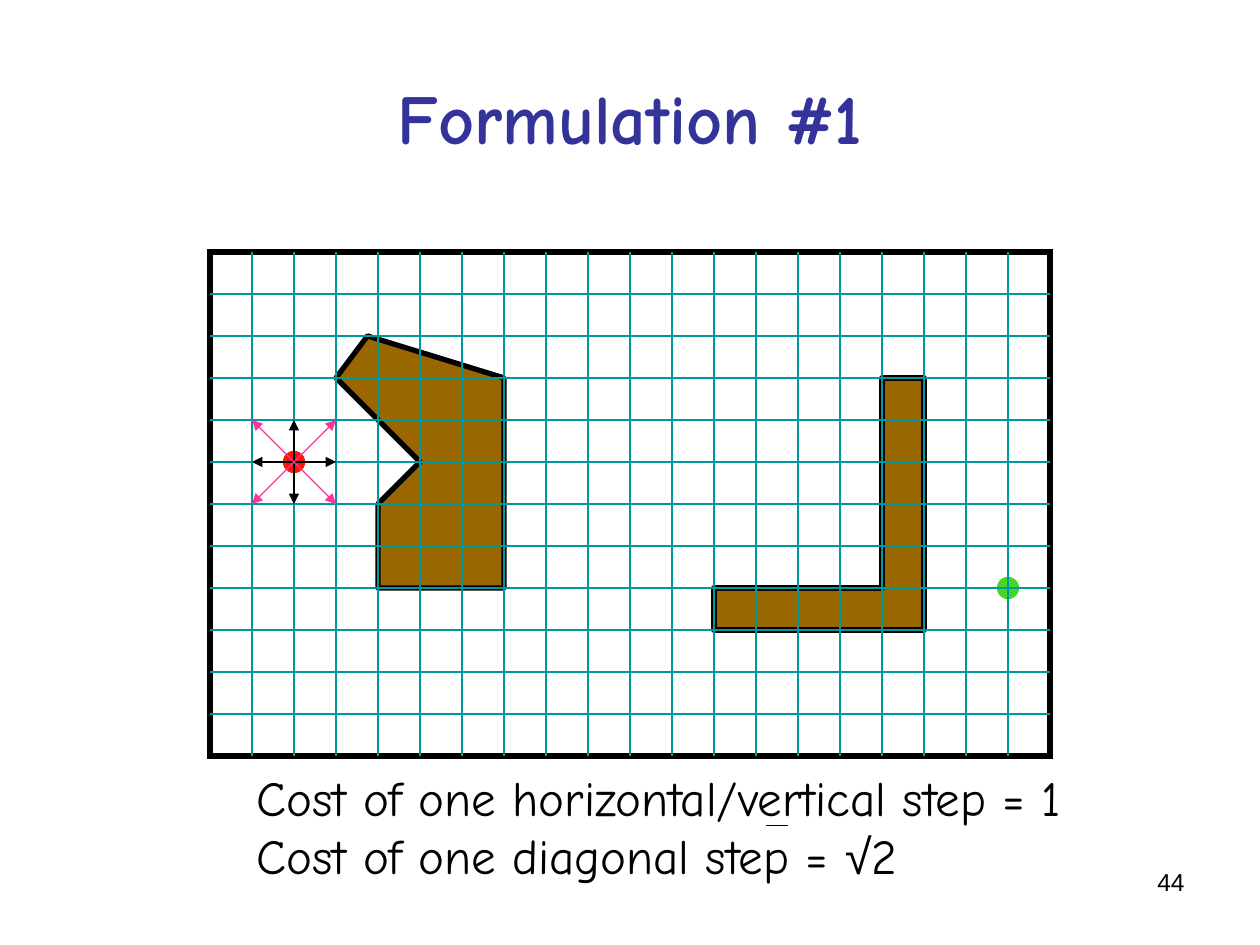
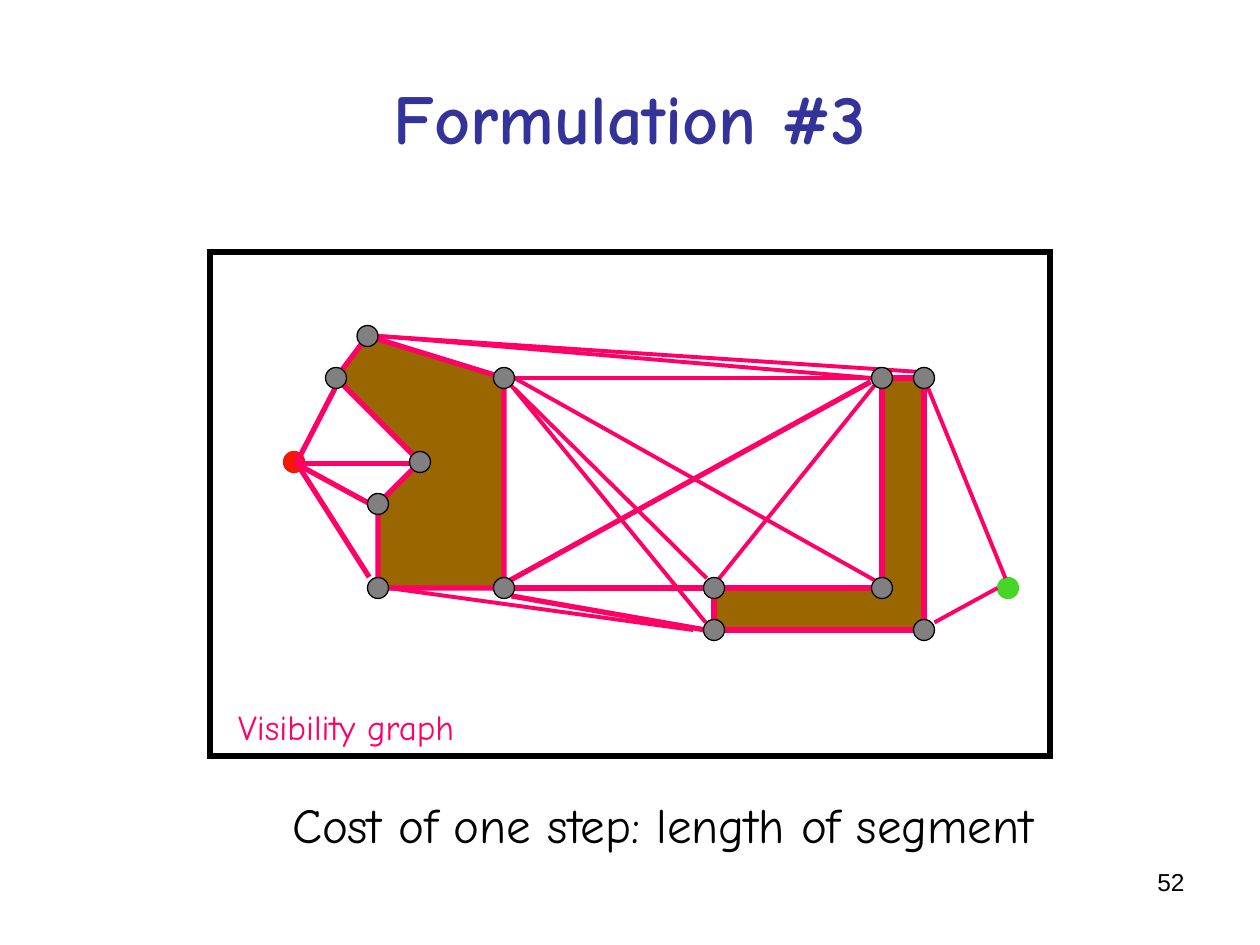
"""Build two slides on path-planning formulations over one obstacle map."""
from dataclasses import dataclass
from typing import Any

from pptx import Presentation
from pptx import util as u
from pptx.dml.color import RGBColor
from pptx.enum import shapes, text
from pptx.oxml.ns import qn

INDIGO = RGBColor(0x33, 0x33, 0x99)
BLACK = RGBColor(0x00, 0x00, 0x00)
BROWN = RGBColor(0x99, 0x66, 0x00)
RED = RGBColor(0xF8, 0x17, 0x06)
GREEN = RGBColor(0x45, 0xD6, 0x28)
TEAL = RGBColor(0x00, 0x99, 0x99)
PINK = RGBColor(0xFF, 0x33, 0x99)
MAGENTA = RGBColor(0xFF, 0x00, 0x66)
GREY = RGBColor(0x80, 0x80, 0x80)

HAND_FONT, PLAIN_FONT = "Comic Neue", "Arial"
THIN, MEDIUM, THICK = 0.75, 2.25, 3

CELL = 2.54 / 3
MAP_LEFT, MAP_TOP = 5 * CELL, 6 * CELL
COLUMNS, ROWS = 20, 12
DOT = 0.5

Point = tuple[float, float]
Run = tuple[str, str]

START, GOAL = (2, 5), (19, 8)
OBSTACLES: list[list[Point]] = [
    [(3, 3), (5, 5), (4, 6), (4, 8), (7, 8), (7, 3), (3.75, 2)],
    [(12, 8), (12, 9), (17, 9), (17, 3), (16, 3), (16, 8)],
]


@dataclass(frozen=True)
class Segment:
    """A straight line between two map points, with optional arrowheads."""
    start: Point
    end: Point
    colour: RGBColor = MAGENTA
    width: float = THICK
    ends: tuple[str, ...] = ()


@dataclass(frozen=True)
class Caption:
    """A text box placed in centimetres, with runs grouped by paragraph."""
    box: tuple[float, float, float, float]
    paragraphs: list[list[Run]]
    size: float
    colour: RGBColor = BLACK
    align: Any = text.PP_ALIGN.LEFT
    wrap: bool = False


BOTH = ("headEnd", "tailEnd")
STEPS = [
    Segment(START, (2, 4), BLACK, THIN, ("tailEnd",)),
    Segment(START, (2, 6), BLACK, THIN, ("tailEnd",)),
    Segment((1, 5), (3, 5), BLACK, THIN, BOTH),
    Segment((3, 4), (1, 6), PINK, THIN, BOTH),
    Segment((1, 4), (3, 6), PINK, THIN, BOTH),
]
ROOT_BAR = Segment((13.24, 13.65), (13.75, 13.65), BLACK, THIN)

THICK_SIGHTS = [
    ((7.12, 7.83), (15.73, 3.09)),
    ((7.18, 8.19), (11.8, 9)),
    ((7.25, 8), (15.75, 8)),
    ((2.05, 5.04), (3.76, 5.97)),
    ((2.05, 5.04), (4.81, 5.04)),
    ((2.05, 5.04), (2.98, 3.24)),
    ((2.17, 5.19), (3.79, 7.74)),
]
MEDIUM_SIGHTS = [
    ((7.25, 3), (15.75, 3)),
    ((7.25, 3), (15.85, 7.83)),
    ((4, 2), (15.75, 3)),
    ((4, 2), (16.81, 2.85)),
    ((7.25, 3.25), (11.83, 7.77)),
    ((4.25, 8), (11.5, 9)),
    ((7.15, 3.15), (11.8, 8.82)),
    ((15.82, 3.18), (12.1, 7.8)),
    ((18.75, 8), (17.25, 8.82)),
    ((18.94, 7.77), (17, 3)),
]

STEP_COSTS = Caption(
    (4.93, 15.34, 16.81, 2.64),
    [[("Cost of one horizontal/vertical step = 1", HAND_FONT)],
     [("Cost of one diagonal step = ", HAND_FONT), ("√", PLAIN_FONT), ("2", HAND_FONT)]],
    28)
SEGMENT_COST = Caption(
    (5.64, 15.9, 15.49, 1.45),
    [[("Cost of one step: length of segment", HAND_FONT)]], 28)
GRAPH_LABEL = Caption(
    (4.55, 14.1, 4.88, 1.12), [[("Visibility graph", HAND_FONT)]], 20, MAGENTA)


def apply(target: Any, values: dict[str, Any]) -> None:
    """Set each named attribute on the target."""
    for name, value in values.items():
        setattr(target, name, value)


def on_map(point: Point) -> tuple[int, int]:
    """Turn a map point in cells into slide lengths."""
    return u.Cm(MAP_LEFT + point[0] * CELL), u.Cm(MAP_TOP + point[1] * CELL)


def style(shape: Any, fill: RGBColor | None, line: RGBColor, width: float,
          join: str = "round") -> None:
    """Give a shape its fill and outline without a shadow."""
    shape.shadow.inherit = False
    if fill is None:
        shape.fill.background()
    else:
        shape.fill.solid()
        shape.fill.fore_color.rgb = fill
    shape.line.color.rgb = line
    shape.line.width = u.Pt(width)
    outline = shape.line._get_or_add_ln()
    outline.append(outline.makeelement(qn(f"a:{join}"), {}))


def draw_segment(slide: Any, segment: Segment) -> None:
    """Draw a line with its arrowheads."""
    connector = slide.shapes.add_connector(
        shapes.MSO_CONNECTOR.STRAIGHT, *on_map(segment.start), *on_map(segment.end))
    connector.line.color.rgb = segment.colour
    connector.line.width = u.Pt(segment.width)
    outline = connector.line._get_or_add_ln()
    for end in segment.ends:
        outline.append(outline.makeelement(qn(f"a:{end}"), {"type": "triangle"}))
    properties = connector._element.spPr
    properties.append(properties.makeelement(qn("a:effectLst"), {}))


def draw_dot(slide: Any, centre: Point, fill: RGBColor, line: RGBColor) -> None:
    """Draw a round marker centred on a map point."""
    corner = on_map((centre[0] - DOT / 2, centre[1] - DOT / 2))
    dot = slide.shapes.add_shape(
        shapes.MSO_SHAPE.OVAL, *corner, u.Cm(DOT * CELL), u.Cm(DOT * CELL))
    style(dot, fill, line, THIN)


def draw_map(slide: Any, obstacle_line: RGBColor) -> None:
    """Draw the frame, the obstacles, the start and the goal."""
    frame = slide.shapes.add_shape(
        shapes.MSO_SHAPE.RECTANGLE, *on_map((0, 0)),
        u.Cm(COLUMNS * CELL), u.Cm(ROWS * CELL))
    style(frame, None, BLACK, THICK, "miter")
    for corners in OBSTACLES:
        first, *others = map(on_map, corners)
        builder = slide.shapes.build_freeform(*first, scale=1.0)
        builder.add_line_segments(others, close=True)
        style(builder.convert_to_shape(), BROWN, obstacle_line, THICK)
    draw_dot(slide, START, RED, RED)
    draw_dot(slide, GOAL, GREEN, GREEN)


def draw_caption(slide: Any, caption: Caption) -> None:
    """Write a text box."""
    frame = slide.shapes.add_textbox(*map(u.Cm, caption.box)).text_frame
    frame.word_wrap = caption.wrap
    for index, runs in enumerate(caption.paragraphs):
        paragraph = frame.add_paragraph() if index else frame.paragraphs[0]
        paragraph.alignment = caption.align
        for words, font_name in runs:
            run = paragraph.add_run()
            run.text = words
            apply(run.font, {"name": font_name, "size": u.Pt(caption.size)})
            run.font.color.rgb = caption.colour


def add_slide(deck: Any, heading: str, number: str) -> Any:
    """Add a slide with its title and page number."""
    slide = deck.slides.add_slide(deck.slide_layouts[5])
    title = slide.shapes.title
    apply(title, {"left": u.Cm(1.27), "top": u.Cm(0.76),
                  "width": u.Cm(22.86), "height": u.Cm(3.18)})
    title.text_frame.text = heading
    title.text_frame.vertical_anchor = text.MSO_ANCHOR.MIDDLE
    paragraph = title.text_frame.paragraphs[0]
    paragraph.alignment = text.PP_ALIGN.CENTER
    font = paragraph.runs[0].font
    apply(font, {"name": HAND_FONT, "size": u.Pt(40), "bold": True})
    font.color.rgb = INDIGO
    draw_caption(slide, Caption((18.2, 17.35, 5.93, 1.32), [[(number, PLAIN_FONT)]],
                                14, align=text.PP_ALIGN.RIGHT, wrap=True))
    return slide


def build_grid_slide(deck: Any) -> None:
    """Show the grid formulation with its eight steps."""
    slide = add_slide(deck, "Formulation #1", "44")
    draw_map(slide, BLACK)
    grid = [Segment((0, row), (COLUMNS, row), TEAL, THIN) for row in range(1, ROWS)]
    grid += [Segment((col, 0), (col, ROWS), TEAL, THIN) for col in range(1, COLUMNS)]
    for segment in [*grid, *STEPS, ROOT_BAR]:
        draw_segment(slide, segment)
    draw_caption(slide, STEP_COSTS)


def build_visibility_slide(deck: Any) -> None:
    """Show the visibility graph formulation."""
    slide = add_slide(deck, "Formulation #3", "52")
    draw_map(slide, MAGENTA)
    for sights, width in ((THICK_SIGHTS, THICK), (MEDIUM_SIGHTS, MEDIUM)):
        for start, end in sights:
            draw_segment(slide, Segment(start, end, width=width))
    for corners in OBSTACLES:
        for corner in corners:
            draw_dot(slide, corner, GREY, BLACK)
    draw_caption(slide, SEGMENT_COST)
    draw_caption(slide, GRAPH_LABEL)


def main() -> None:
    """Build and save the deck."""
    deck = Presentation()
    apply(deck, {"slide_width": u.Cm(25.4), "slide_height": u.Cm(19.05)})
    build_grid_slide(deck)
    build_visibility_slide(deck)
    deck.save("out.pptx")


if __name__ == "__main__":
    main()
